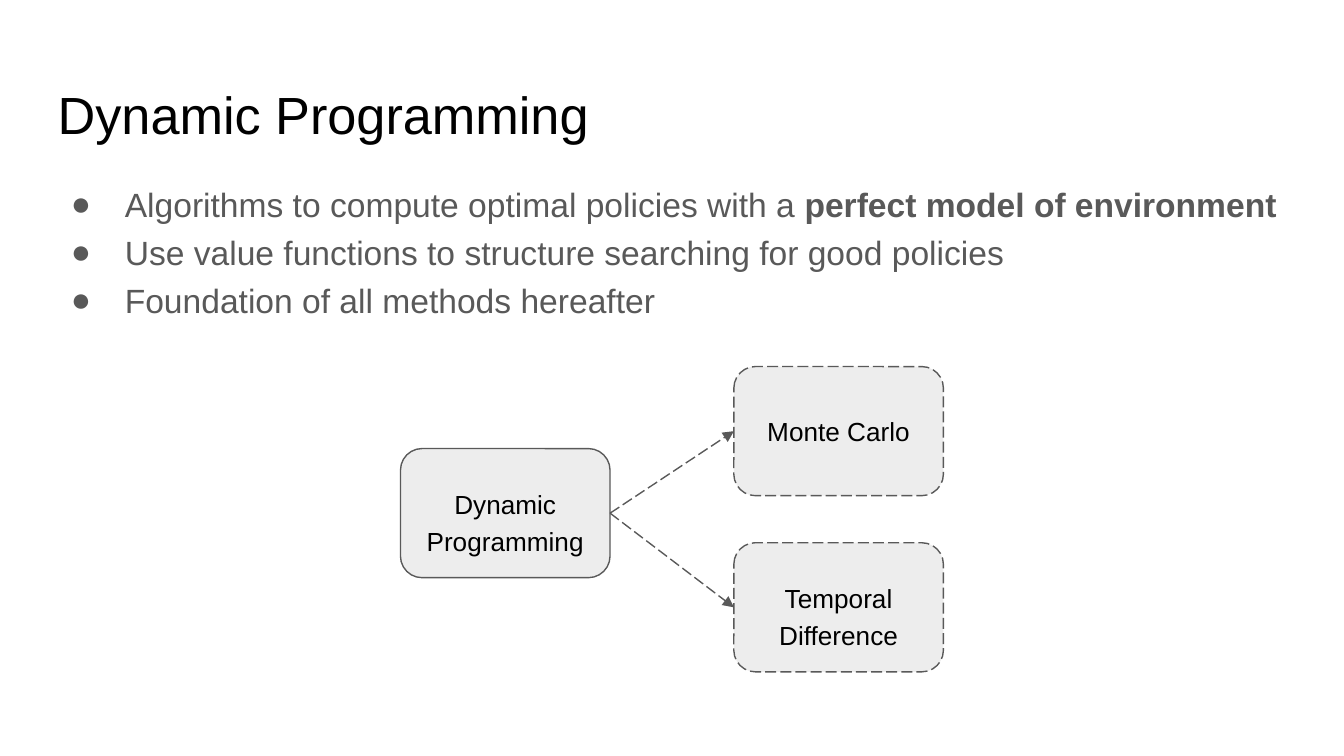
from dataclasses import dataclass

import pptx
import pptx.dml.color
import pptx.enum.dml
import pptx.enum.shapes
import pptx.enum.text
import pptx.oxml
import pptx.oxml.ns
import pptx.util
from pptx.util import Cm, Pt


@dataclass(frozen=True)
class Theme:
    font: str = "Arial"
    ink: str = "000000"
    grey: str = "595959"
    box_fill: str = "EDEDED"
    title_size: int = 28
    body_size: int = 18
    label_size: int = 14
    line_width: float = 0.75


@dataclass(frozen=True)
class Method:
    label: str
    left: float
    top: float
    dashed: bool = True
    text_drop: float = 0


THEME = Theme()
BOX_WIDTH, BOX_HEIGHT = 3.96, 2.44
RIGHT_COLUMN = 13.87
BULLET_INDENT = 1.04
RIGHT_SITE, LEFT_SITE = 3, 1

FOUNDATION = Method("Dynamic Programming", 7.57, 8.48, dashed=False, text_drop=0.25)
SUCCESSORS = [
    Method("Monte Carlo", RIGHT_COLUMN, 6.93),
    Method("Temporal Difference", RIGHT_COLUMN, 10.26, text_drop=0.25),
]
# Each bullet is a list of (text, bold) runs.
BULLETS = [
    [("Algorithms to compute optimal policies with a ", False),
     ("perfect model of environment", True)],
    [("Use value functions to structure searching for good policies", False)],
    [("Foundation of all methods hereafter", False)],
]


def rgb(value: str) -> pptx.dml.color.RGBColor:
    return pptx.dml.color.RGBColor.from_string(value)


def add_text(paragraph, text: str, *, size: float, color: str, bold: bool = False) -> None:
    run = paragraph.add_run()
    run.text = text
    run.font.name = THEME.font
    run.font.size = Pt(size)
    run.font.bold = bold
    run.font.color.rgb = rgb(color)


def set_frame(shape, *, top: float = 0, side: float = 0,
              anchor=pptx.enum.text.MSO_ANCHOR.TOP):
    """Set wrapping, insets in centimetres and anchor; return the text frame."""
    frame = shape.text_frame
    frame.word_wrap = True
    frame.auto_size = pptx.enum.text.MSO_AUTO_SIZE.NONE
    frame.margin_left = frame.margin_right = Cm(side)
    frame.margin_top, frame.margin_bottom = Cm(top), Cm(0)
    frame.vertical_anchor = anchor
    return frame


def append_xml(parent, tag: str, **attributes: str):
    child = pptx.oxml.parse_xml(f"<a:{tag} {pptx.oxml.ns.nsdecls('a')}/>")
    for name, value in attributes.items():
        child.set(name, value)
    parent.append(child)
    return child


def style_line(line, dashed: bool) -> None:
    line.color.rgb = rgb(THEME.grey)
    line.width = Pt(THEME.line_width)
    if dashed:
        line.dash_style = pptx.enum.dml.MSO_LINE.LONG_DASH


def add_title(slide, text: str) -> None:
    title = slide.shapes.title
    title.left, title.top, title.width, title.height = Cm(1.09), Cm(1.4), Cm(10.8), Cm(1.3)
    paragraph = set_frame(title, top=0.16).paragraphs[0]
    paragraph.alignment = pptx.enum.text.PP_ALIGN.LEFT
    add_text(paragraph, text, size=THEME.title_size, color=THEME.ink)


def add_bullets(slide) -> None:
    box = slide.shapes.add_textbox(Cm(1.32), Cm(3.28), Cm(23.4), Cm(2.7))
    frame = set_frame(box, top=0.2)
    for index, runs in enumerate(BULLETS):
        paragraph = frame.add_paragraph() if index else frame.paragraphs[0]
        paragraph.space_before = Pt(4 if index else 0)
        properties = paragraph._p.get_or_add_pPr()
        properties.set("marL", str(Cm(BULLET_INDENT)))
        properties.set("indent", str(-Cm(BULLET_INDENT - 0.02)))
        append_xml(append_xml(properties, "buClr"), "srgbClr", val=THEME.grey)
        append_xml(properties, "buFont", typeface=THEME.font)
        append_xml(properties, "buChar", char="●")
        for text, bold in runs:
            add_text(paragraph, text, size=THEME.body_size, color=THEME.grey, bold=bold)


def add_method(slide, method: Method):
    shape = slide.shapes.add_shape(
        pptx.enum.shapes.MSO_SHAPE.ROUNDED_RECTANGLE,
        Cm(method.left), Cm(method.top), Cm(BOX_WIDTH), Cm(BOX_HEIGHT))
    shape.shadow.inherit = False
    shape.fill.solid()
    shape.fill.fore_color.rgb = rgb(THEME.box_fill)
    style_line(shape.line, method.dashed)
    frame = set_frame(shape, top=method.text_drop, side=0.2,
                      anchor=pptx.enum.text.MSO_ANCHOR.MIDDLE)
    paragraph = frame.paragraphs[0]
    paragraph.alignment = pptx.enum.text.PP_ALIGN.CENTER
    if method.text_drop:
        paragraph.line_spacing = 1.18
    add_text(paragraph, method.label, size=THEME.label_size, color=THEME.ink)
    return shape


def add_arrow(slide, source, target) -> None:
    arrow = slide.shapes.add_connector(
        pptx.enum.shapes.MSO_CONNECTOR.STRAIGHT, Cm(0), Cm(0), Cm(1), Cm(1))
    arrow.begin_connect(source, RIGHT_SITE)
    arrow.end_connect(target, LEFT_SITE)
    style_line(arrow.line, dashed=True)
    append_xml(arrow.line._get_or_add_ln(), "tailEnd", type="triangle", w="med", len="med")
    append_xml(arrow._element.spPr, "effectLst")


def main() -> None:
    presentation = pptx.Presentation()
    presentation.slide_width, presentation.slide_height = Cm(25.4), Cm(14.29)
    slide = presentation.slides.add_slide(presentation.slide_layouts[5])
    add_title(slide, "Dynamic Programming")
    add_bullets(slide)
    foundation = add_method(slide, FOUNDATION)
    for successor in SUCCESSORS:
        add_arrow(slide, foundation, add_method(slide, successor))
    presentation.save("out.pptx")


if __name__ == "__main__":
    main()
